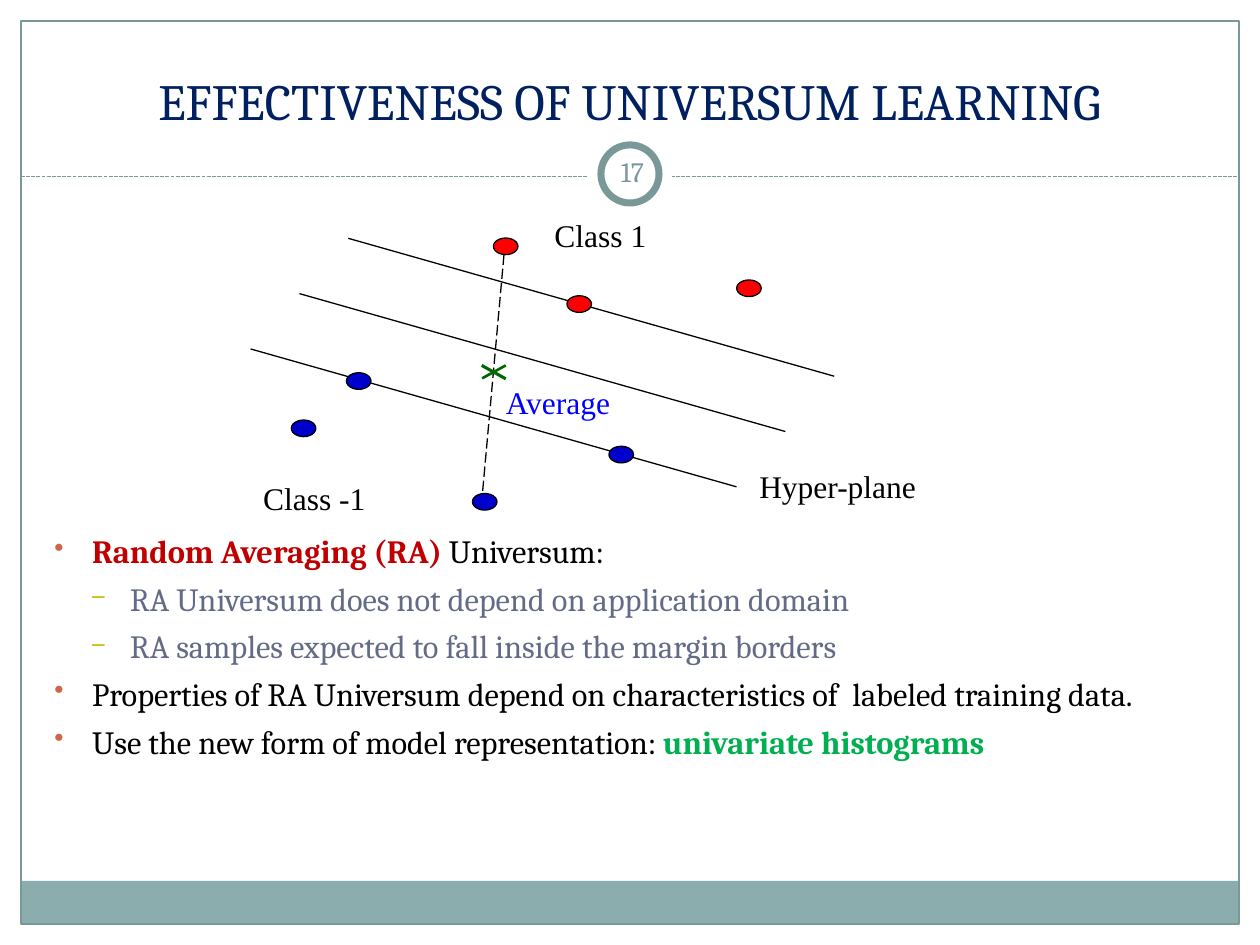
from dataclasses import dataclass

from lxml.etree import SubElement
from pptx import Presentation
from pptx.dml.color import RGBColor
from pptx.enum.dml import MSO_LINE_DASH_STYLE as Dash
from pptx.enum.shapes import MSO_CONNECTOR_TYPE as Connector
from pptx.enum.shapes import MSO_SHAPE as Preset
from pptx.enum.text import MSO_ANCHOR as Anchor
from pptx.enum.text import PP_ALIGN as Align
from pptx.oxml.ns import qn
from pptx.util import Pt

COLORS = {
    "white": "FFFFFF", "black": "000000", "frame": "7B9899", "band": "8CADAE",
    "title": "002060", "muted": "646B86", "crimson": "C00000", "green": "00B050",
    "red": "FF0000", "navy": "0000CC", "blue": "0000FF", "cross": "006600",
    "bullet": "D16349", "dash": "CCB400",
}
SERIF = "Cambria"
LABEL_FONT = "Times New Roman"


@dataclass(frozen=True)
class Box:
    left: float
    top: float
    width: float
    height: float


@dataclass(frozen=True)
class Line:
    start: tuple[float, float]
    end: tuple[float, float]
    color: str = "black"
    width: float = 0.75
    dash: Dash | None = None


@dataclass(frozen=True)
class Label:
    text: str
    left: float
    top: float
    color: str = "black"


@dataclass(frozen=True)
class Run:
    text: str
    color: str = "black"
    bold: bool = False


@dataclass(frozen=True)
class Bullet:
    runs: tuple[Run, ...]
    level: int = 0


@dataclass(frozen=True)
class BulletStyle:
    symbol: str
    color: str
    percent: int


FRAME = Box(12, 12, 696, 516)
DOT_SIZE = (14, 9.5)
DOTS = {
    "red": [(282, 136), (324, 169), (421, 160)],
    "navy": [(270, 282), (166.5, 240), (348, 255), (198, 213)],
}
MARGIN_START = (199, 136.2)
MARGIN_STEP = (-27.9, 31.6)
MARGIN_SPAN = (277.7, 78.8)
MARGIN_LINES = [
    Line((left, top), (left + MARGIN_SPAN[0], top + MARGIN_SPAN[1]))
    for left, top in (
        (MARGIN_START[0] + index * MARGIN_STEP[0], MARGIN_START[1] + index * MARGIN_STEP[1])
        for index in range(3)
    )
]
AVERAGE_LINES = [
    Line((288, 145.5), (275.3, 286.5), dash=Dash.LONG_DASH),
    Line((275.5, 216.2), (289, 208.8), "cross", 1.5),
    Line((275.3, 208.8), (289, 216.5), "cross", 1.75),
]
LABELS = [
    Label("Average", 282, 215.3, "blue"),
    Label("Class 1", 309.8, 120.2),
    Label("Class -1", 143.3, 270),
    Label("Hyper-plane", 426.8, 263.3),
]
BULLET_STYLES = [BulletStyle("•", "bullet", 85), BulletStyle("–", "dash", 70)]
BULLETS = [
    Bullet((Run("Random Averaging (RA) ", "crimson", True), Run("Universum:"))),
    Bullet((Run("RA Universum does not depend on application domain", "muted"),), 1),
    Bullet((Run("RA samples expected to fall inside the margin borders", "muted"),), 1),
    Bullet((Run("Properties of RA Universum depend on characteristics of  labeled training data."),)),
    Bullet((Run("Use the new form of model representation: "), Run("univariate histograms", "green", True))),
]


def rgb(name: str) -> RGBColor:
    return RGBColor.from_string(COLORS[name])


def add_shape(slide, preset, box: Box, fill: str | None = None,
              line: str | None = None, width: float = 0.75) -> None:
    shape = slide.shapes.add_shape(preset, Pt(box.left), Pt(box.top), Pt(box.width), Pt(box.height))
    shape.shadow.inherit = False
    if fill:
        shape.fill.solid()
        shape.fill.fore_color.rgb = rgb(fill)
    else:
        shape.fill.background()
    if line:
        shape.line.color.rgb = rgb(line)
        shape.line.width = Pt(width)
    else:
        shape.line.fill.background()


def add_line(slide, line: Line) -> None:
    connector = slide.shapes.add_connector(
        Connector.STRAIGHT, *(Pt(value) for value in line.start + line.end))
    connector.line.color.rgb = rgb(line.color)
    connector.line.width = Pt(line.width)
    if line.dash:
        connector.line.dash_style = line.dash
    SubElement(connector.element.spPr, qn("a:effectLst"))


def add_text_frame(slide, box: Box, anchor=Anchor.TOP, side: float = 7.2):
    frame = slide.shapes.add_textbox(
        Pt(box.left), Pt(box.top), Pt(box.width), Pt(box.height)).text_frame
    frame.word_wrap = True
    frame.vertical_anchor = anchor
    frame.margin_left = frame.margin_right = Pt(side)
    return frame


def write_text(paragraph, text: str, *, font: str = SERIF, size: float = 18.5,
               color: str = "black", bold: bool = False, align=Align.LEFT) -> None:
    paragraph.alignment = align
    run = paragraph.add_run()
    run.text = text
    run.font.name = font
    run.font.size = Pt(size)
    run.font.bold = bold
    run.font.color.rgb = rgb(color)


def add_bullet_marker(paragraph, level: int) -> None:
    style = BULLET_STYLES[level]
    properties = paragraph._p.get_or_add_pPr()
    properties.set("marL", str(Pt(21.6 * (level + 1))))
    properties.set("indent", str(Pt(-21.6)))
    color = SubElement(properties, qn("a:buClr"))
    SubElement(color, qn("a:srgbClr"), val=COLORS[style.color])
    SubElement(properties, qn("a:buSzPct"), val=str(style.percent * 1000))
    SubElement(properties, qn("a:buChar"), char=style.symbol)


def add_bullets(slide, box: Box, bullets: list[Bullet]) -> None:
    frame = add_text_frame(slide, box)
    for index, bullet in enumerate(bullets):
        paragraph = frame.add_paragraph() if index else frame.paragraphs[0]
        paragraph.level = bullet.level
        add_bullet_marker(paragraph, bullet.level)
        paragraph.space_before = Pt(5 if index else 0)
        for run in bullet.runs:
            write_text(paragraph, run.text, color=run.color, bold=run.bold)


def add_decoration(slide) -> None:
    add_shape(slide, Preset.RECTANGLE, Box(12, 503.3, 696, 24.7), "band")
    add_shape(slide, Preset.RECTANGLE, FRAME, line="frame")
    add_line(slide, Line((12, 100.8), (708, 100.8), "frame", dash=Dash.SQUARE_DOT))
    add_shape(slide, Preset.OVAL, Box(336, 75.5, 48, 48), "white")
    add_shape(slide, Preset.OVAL, Box(343.4, 82.8, 33.2, 33.2), "white", "frame", 4)


def add_diagram(slide) -> None:
    for line in MARGIN_LINES + AVERAGE_LINES:
        add_line(slide, line)
    for color, positions in DOTS.items():
        for left, top in positions:
            add_shape(slide, Preset.OVAL, Box(left, top, *DOT_SIZE), color, "black")
    for label in LABELS:
        frame = add_text_frame(slide, Box(label.left, label.top, 125, 31.7))
        write_text(frame.paragraphs[0], label.text, font=LABEL_FONT, size=18, color=label.color)


def main() -> None:
    presentation = Presentation()
    presentation.slide_width, presentation.slide_height = Pt(720), Pt(540)
    slide = presentation.slides.add_slide(presentation.slide_layouts[6])
    add_decoration(slide)
    title = add_text_frame(slide, Box(24, 18, 672, 60), Anchor.BOTTOM)
    write_text(title.paragraphs[0], "EFFECTIVENESS OF UNIVERSUM LEARNING",
               size=29, color="title", align=Align.CENTER)
    number = add_text_frame(slide, Box(343.4, 80.6, 36, 34.6), Anchor.MIDDLE, 3.6)
    write_text(number.paragraphs[0], "17", size=16, color="frame", align=Align.CENTER)
    add_bullets(slide, Box(24, 300, 670, 192), BULLETS)
    add_diagram(slide)
    presentation.save("out.pptx")


if __name__ == "__main__":
    main()
